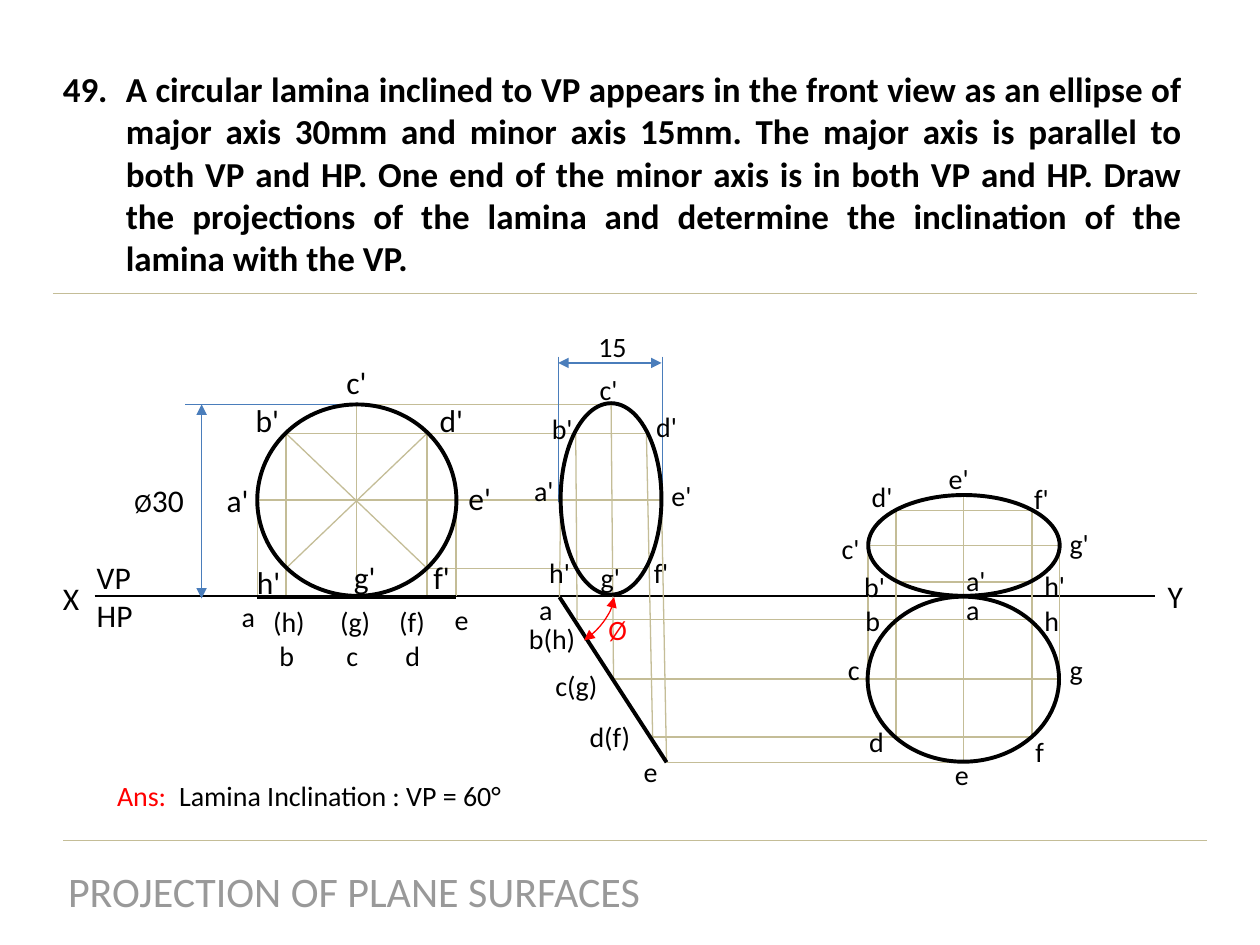
from lxml import etree
from pptx import Presentation
from pptx.dml.color import RGBColor
from pptx.enum import shapes, text
from pptx.oxml.ns import qn
from pptx.util import Pt

COLORS = {"ink": "000000", "tan": "C4BD97", "blue": "4A7DBB",
          "red": "FF0000", "gray": "999999"}
FONT = "Calibri"
THIN, THICK = 0.75, 2.25

PROBLEM = (
    "A circular lamina inclined to VP appears in the front view as an ellipse of "
    "major axis 30mm and minor axis 15mm. The major axis is parallel to both VP and HP. "
    "One end of the minor axis is in both VP and HP. Draw the projections of the lamina "
    "and determine the inclination of the lamina with the VP.")
FOOTER = "PROJECTION OF PLANE SURFACES"
ANSWER = [("Ans:", "red"), ("\tLamina Inclination : VP = 60°", "ink")]

# Coordinates of the lamina's points a to h in each view
XY = 340.6
FRONT_Y = dict(c=231, b=247.7, d=247.7, a=285.8, e=285.8, h=324.7, f=324.7, g=XY)
CIRCLE_X = dict(a=147, b=163.5, h=163.5, c=203.8, g=203.8, d=244, f=244, e=260.6)
ELLIPSE_X = dict(a=320.4, b=329, c=349.2, d=369.4, f=369.4, e=378)
EDGE = dict(a=(319.7, 341.2), b=(329.8, 354.2), c=(350.6, 388),
            d=(373, 423), e=(380.9, 435.6))
FINAL_X = dict(c=496, b=512, d=512, a=550.8, e=550.8, f=589.7, h=589.7, g=605.5)
FINAL_FRONT_Y = dict(e=283, d=291.6, f=291.6, c=311.8, g=311.8, b=332.6, h=332.6, a=XY)
FINAL_TOP_Y = dict(a=XY, b=354.2, h=354.2, c=388, g=388, d=421.2, f=421.2, e=435.6)

# Labels by type size: text, left, top
LABELS = {
    18: [("X", 28.8, 327.6), ("Y", 660.2, 326.2),
         ("a'", 122.4, 271.4), ("b'", 139, 225.4), ("c'", 190.8, 203.8),
         ("d'", 244.1, 225.4), ("e'", 260.6, 270), ("f'", 240.5, 315.4),
         ("g'", 195.1, 315.4), ("h'", 139.7, 318.2)],
    16: [("15", 334.8, 185),
         # circle seen from above
         ("a", 131, 339.1), ("e", 252.7, 340.6),
         # ellipse
         ("a'", 298.1, 267.1), ("b'", 308.2, 231.8), ("c'", 335.5, 209.5),
         ("d'", 367.9, 230.4), ("e'", 376.6, 270), ("f'", 366.5, 313.9),
         ("g'", 336.2, 316.8), ("h'", 306.7, 313.9),
         # inclined edge
         ("a", 301, 334.8), ("b(h)", 295.2, 351.4), ("c(g)", 310.3, 378.7),
         ("d(f)", 329.8, 407.5), ("e", 360.7, 427.7),
         # final front view
         ("a'", 545, 318.2), ("b'", 486.7, 321.8), ("c'", 473.8, 300.2),
         ("d'", 491, 270.7), ("e'", 535, 259.9), ("f'", 583.9, 271.4),
         ("g'", 604.1, 297.4), ("h'", 589.7, 321.1),
         # final top view
         ("a", 545, 334.8), ("b", 487.4, 341.3), ("c", 477.4, 369.4),
         ("d", 489.6, 410.4), ("e", 538.6, 429.1), ("f", 584.6, 416.2),
         ("g", 604.1, 369.4), ("h", 589.7, 341.3)],
}
LABEL_WIDTH = {1: 24.5, 2: 32.4, 4: 44}
STACKED = [("(h)", "b", 149), ("(g)", "c", 187.2), ("(f)", "d", 221)]

# Lamina outlines: left, top, width, height, rotation
OUTLINES = [(147, 231.1, 113.8, 109.4, 0), (320.4, 230.4, 57.6, 109.4, 0),
            (522, 257, 57.6, 109.4, 90), (503.3, 333.4, 94.3, 109.4, 90)]

prs = Presentation()
prs.slide_width, prs.slide_height = Pt(720), Pt(540)
slide = prs.slides.add_slide(prs.slide_layouts[6])


def rgb(name):
    return RGBColor.from_string(COLORS[name])


def style_line(shape, color, width, arrows=False):
    shape.line.color.rgb = rgb(color)
    shape.line.width = Pt(width)
    if arrows:
        for end in ("a:headEnd", "a:tailEnd"):
            etree.SubElement(shape.line._get_or_add_ln(), qn(end), type="triangle")


def line(x1, y1, x2, y2, color="tan", width=THIN, arrows=False):
    link = slide.shapes.add_connector(
        shapes.MSO_CONNECTOR.STRAIGHT, Pt(x1), Pt(y1), Pt(x2), Pt(y2))
    style_line(link, color, width, arrows)
    etree.SubElement(link._element.spPr, qn("a:effectLst"))


def outline(kind, left, top, width, height, rotation, color, weight, arrows=False):
    shape = slide.shapes.add_shape(kind, Pt(left), Pt(top), Pt(width), Pt(height))
    shape.rotation = rotation
    shape.shadow.inherit = False
    shape.fill.background()
    style_line(shape, color, weight, arrows)
    return shape


def text_box(left, top, width, height, wrap=False):
    frame = slide.shapes.add_textbox(Pt(left), Pt(top), Pt(width), Pt(height)).text_frame
    frame.word_wrap = wrap
    return frame


def set_font(paragraph, size, color=None, bold=False):
    paragraph.font.name, paragraph.font.size = FONT, Pt(size)
    paragraph.font.bold = bold
    if color:
        paragraph.font.color.rgb = rgb(color)


def write(frame, lines, size, color="ink"):
    frame.text = "\n".join(lines)
    for paragraph in frame.paragraphs:
        set_font(paragraph, size, color)


# Problem statement, numbered 49
problem = text_box(28.8, 35.3, 653.8, 128.2, wrap=True).paragraphs[0]
problem.text = PROBLEM
problem.alignment = text.PP_ALIGN.JUSTIFY
number = problem._p.get_or_add_pPr()
number.set("marL", str(Pt(36)))
number.set("indent", str(Pt(-36)))
etree.SubElement(number, qn("a:buAutoNum"), type="arabicPeriod", startAt="49")
set_font(problem, 20, "ink", bold=True)

# Dividers and the XY reference line
line(30.2, 167.8, 684, 167.8)
line(36, 480.2, 689.8, 480.2)
line(54, XY, 660.2, XY, "ink")

# Circle: diameters and projectors down to XY
for start, end in ("ae", "bf", "hd", "cg"):
    line(CIRCLE_X[start], FRONT_Y[start], CIRCLE_X[end], FRONT_Y[end])
for point in "abde":
    line(CIRCLE_X[point], FRONT_Y[point], CIRCLE_X[point], XY)

# Circle to ellipse, then ellipse to inclined edge
for point in "cbef":
    end = "d" if point == "b" else point
    line(CIRCLE_X[point], FRONT_Y[point], ELLIPSE_X[end], FRONT_Y[point])
for point, (x, y) in EDGE.items():
    line(ELLIPSE_X[point], FRONT_Y[point], x, y)

# Inclined edge to final top view
for point, end in zip("bcde", "hgfe"):
    line(EDGE[point][0], FINAL_TOP_Y[point], FINAL_X[end], FINAL_TOP_Y[point])

# Final views: verticals and chords
for upper, lower in ("cc", "dd", "ee", "ff", "gg"):
    line(FINAL_X[upper], FINAL_FRONT_Y[upper], FINAL_X[lower], FINAL_TOP_Y[lower])
for start, end in ("df", "bh", "cg"):
    line(FINAL_X[start], FINAL_FRONT_Y[start], FINAL_X[end], FINAL_FRONT_Y[end])

# Dimensions 30 and 15
line(115.2, 231.1, 115.2, 342, "blue", arrows=True)
line(105.8, 231.1, 203.8, 231.1, "blue")
for x in (319.3, 378.7):
    line(x, 203.8, x, 286.6, "blue")
line(378, 207.4, 319, 207.4, "blue", arrows=True)

# Labels
for size, labels in LABELS.items():
    for label, left, top in labels:
        write(text_box(left, top, LABEL_WIDTH[len(label)], size * 1.2 + 7.2), [label], size)
write(text_box(48.2, 315.4, 35.3, 51.1), ["VP", "HP"], 18)
for upper, lower, left in STACKED:
    stack = text_box(left, 342, 39.6, 46.1)
    write(stack, [upper, lower], 16)
    stack.paragraphs[1]._p.get_or_add_pPr().set("marL", str(Pt(3.6)))
write(text_box(340.6, 346.3, 40.3, 26.6), ["Ø"], 16, "red")

diameter = text_box(69.8, 271.4, 43.2, 28.8).paragraphs[0]
set_font(diameter, 18, "ink")
for part, size in (("Ø", 15), ("30", 18)):
    run = diameter.add_run()
    run.text, run.font.size = part, Pt(size)

# Lamina outlines, edge views and inclination angle
for box in OUTLINES:
    outline(shapes.MSO_SHAPE.OVAL, *box, "ink", THICK)
line(147, 341.3, 260.6, 341.3, "ink", THICK)
line(*EDGE["a"], *EDGE["e"], "ink", THICK)
angle = outline(shapes.MSO_SHAPE.ARC, 306.7, 319.7, 36.7, 59.8, 51.4, "red", THIN, True)
angle.adjustments[0], angle.adjustments[1] = 174.466, 6.321

# Answer and footer
answer = text_box(59.8, 441.4, 239.8, 26.6).paragraphs[0]
tabs = etree.SubElement(answer._p.get_or_add_pPr(), qn("a:tabLst"))
etree.SubElement(tabs, qn("a:tab"), pos=str(Pt(35.5)), algn="l")
set_font(answer, 16)
for part, color in ANSWER:
    run = answer.add_run()
    run.text, run.font.color.rgb = part, rgb(color)
footer = text_box(30.2, 491, 344.2, 36)
write(footer, [FOOTER], 24, "gray")
footer.paragraphs[0].alignment = text.PP_ALIGN.CENTER

prs.save("out.pptx")
